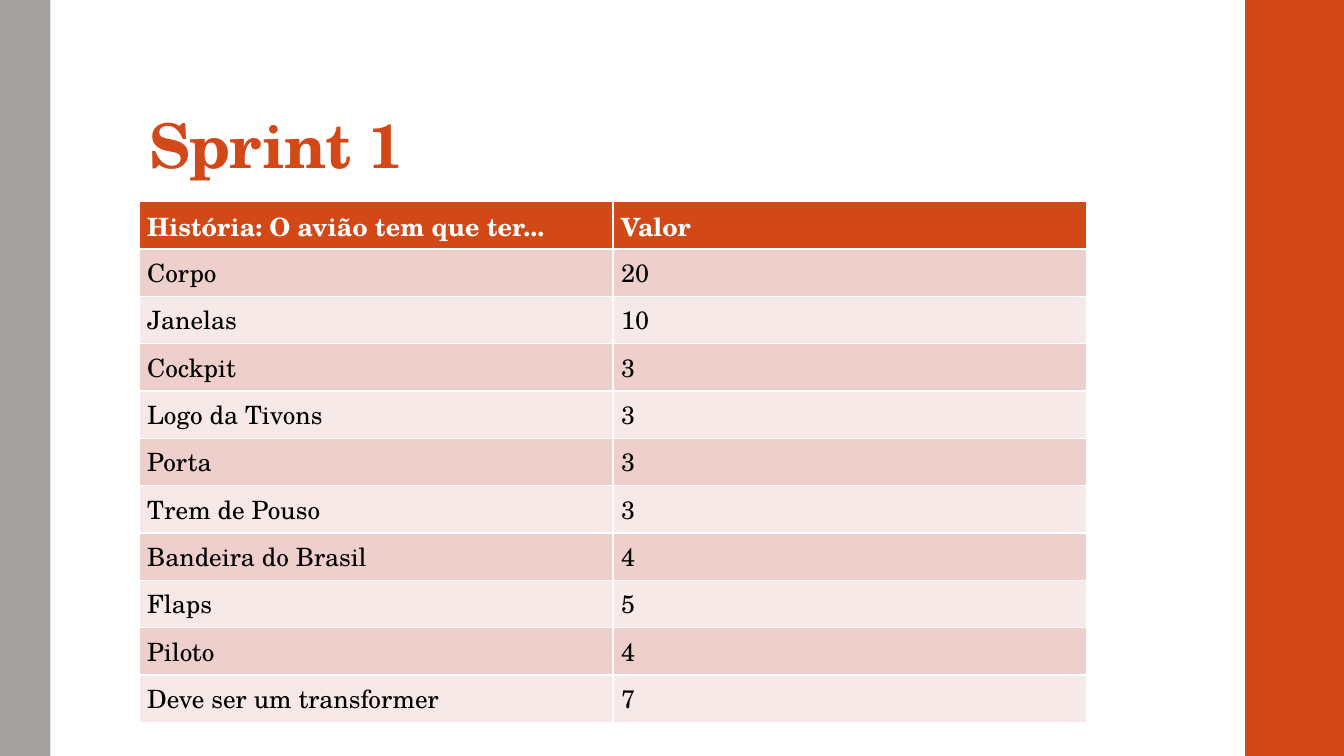
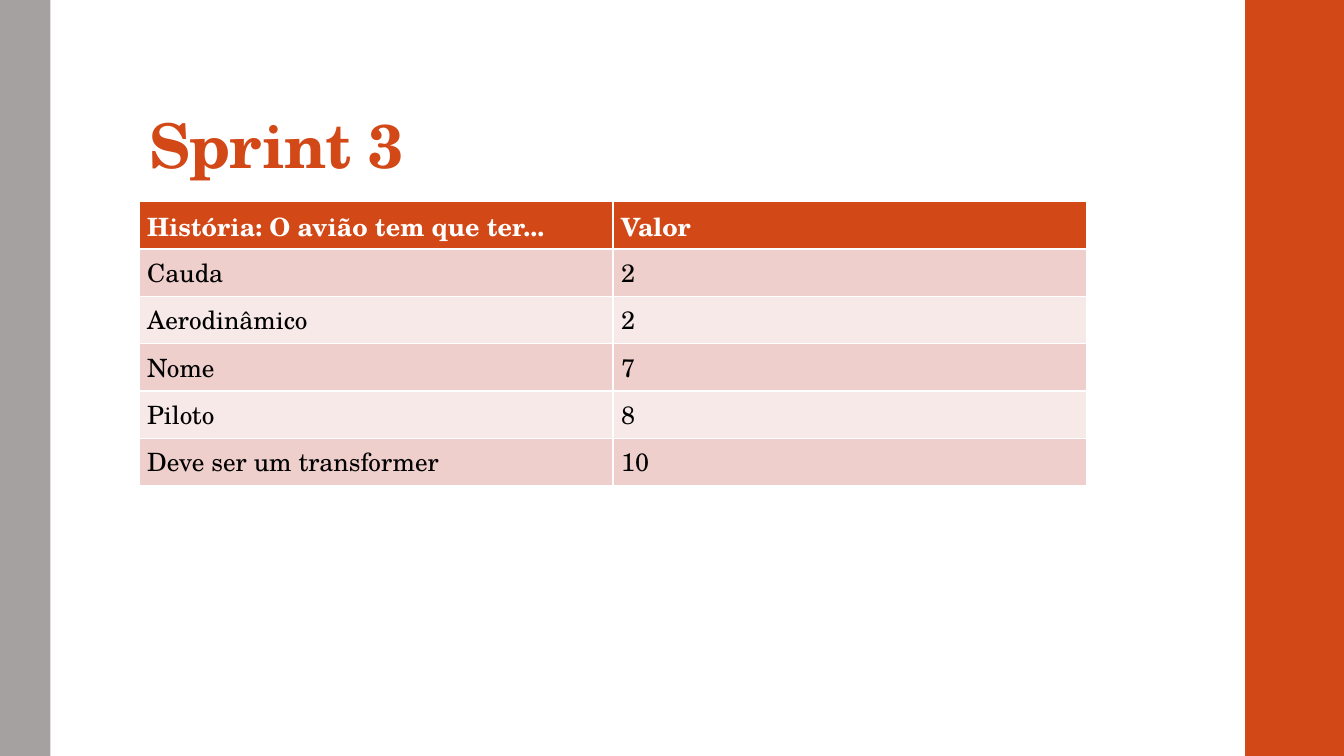
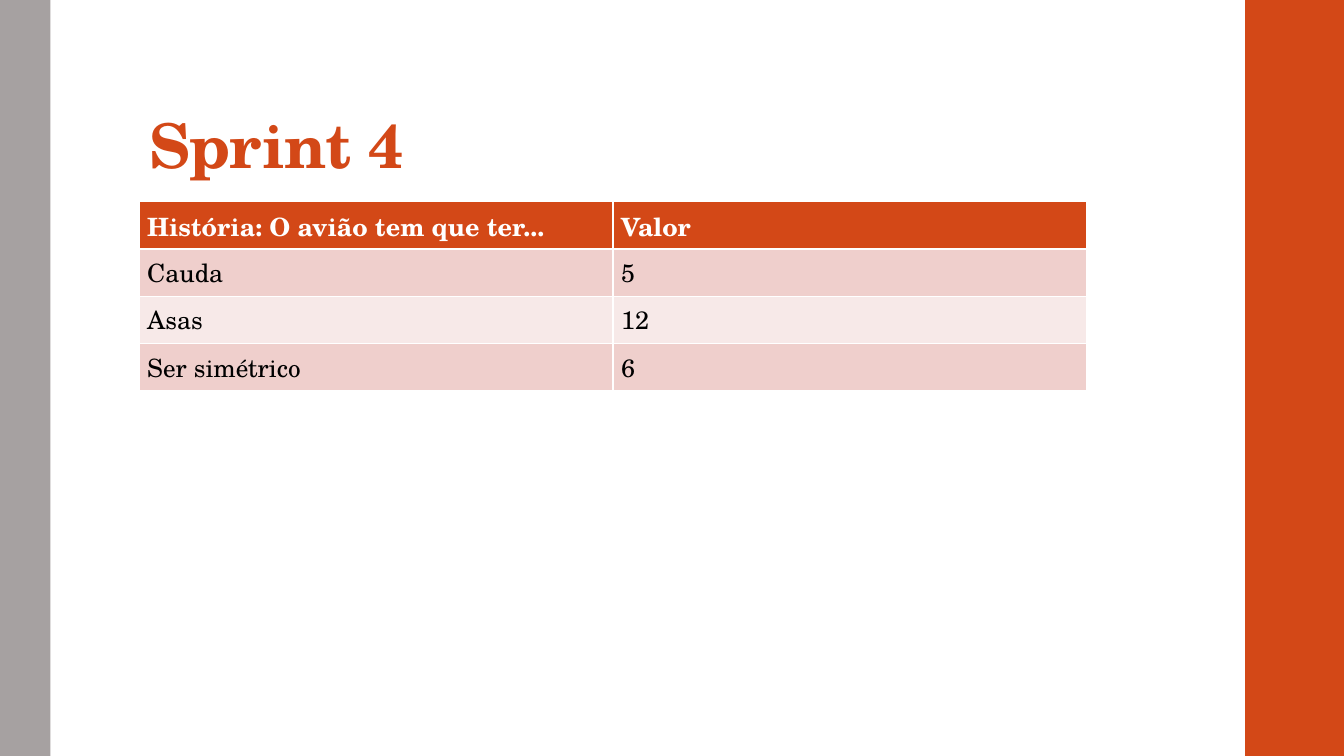
from pptx import Presentation
from pptx.dml.color import RGBColor
from pptx.enum.shapes import MSO_SHAPE as SHAPE
from pptx.enum.text import MSO_ANCHOR as ANCHOR
from pptx.util import Inches, Pt

FONT = "TeX Gyre Schola"
ORANGE, GRAY, WHITE, BLACK = "D34817", "A6A1A1", "FFFFFF", "000000"
STRIPES = ("EFCFCC", "F7E9E8")
SLIDE_W, SLIDE_H = 13.33, 7.5
LEFT_BAND = (0, 0, 0.5, SLIDE_H)
RIGHT_BAND = (12.35, 0, 0.98, SLIDE_H)
TITLE_BOX = (1.38, 0.32, 10.6, 1.53)
TABLE_BOX = (1.38, 2, 9.4)
ROW_H = 0.47
HEADER = ("História: O avião tem que ter...", "Valor")

SPRINTS = [
    ("Sprint 1", [
        ("Corpo", 20), ("Janelas", 10), ("Cockpit", 3), ("Logo da Tivons", 3),
        ("Porta", 3), ("Trem de Pouso", 3), ("Bandeira do Brasil", 4),
        ("Flaps", 5), ("Piloto", 4), ("Deve ser um transformer", 7)]),
    ("Sprint 3", [
        ("Cauda", 2), ("Aerodinâmico", 2), ("Nome", 7), ("Piloto", 8),
        ("Deve ser um transformer", 10)]),
    ("Sprint 4", [("Cauda", 5), ("Asas", 12), ("Ser simétrico", 6)]),
]


def rgb(color):
    """Turn a hex string into a colour."""
    return RGBColor.from_string(color)


def inches(*lengths):
    """Convert several lengths to Inches."""
    return [Inches(v) for v in lengths]


def write(tf, text, size=18, color=BLACK, bold=False, leading=None, spacing=None):
    """Write one formatted paragraph in a text frame."""
    p = tf.paragraphs[0]
    p.line_spacing = leading
    r = p.add_run()
    r.text = text
    r.font.name, r.font.size, r.font.bold = FONT, Pt(size), bold
    r.font.color.rgb = rgb(color)
    if spacing is not None:
        r.font._element.set("spc", str(round(spacing * 100)))


def set_margins(target, left, top, right, bottom):
    """Set the inner margins of a text frame or a cell."""
    target.margin_left, target.margin_top = inches(left, top)
    target.margin_right, target.margin_bottom = inches(right, bottom)


def add_band(slide, box, color):
    """Draw a plain vertical band."""
    sp = slide.shapes.add_shape(SHAPE.RECTANGLE, *inches(*box))
    sp.shadow.inherit = False
    sp.fill.solid()
    sp.fill.fore_color.rgb = rgb(color)
    sp.line.fill.background()


def add_title(slide, box, text):
    """Place the slide title at the bottom of its box."""
    tf = slide.shapes.add_textbox(*inches(*box)).text_frame
    tf.word_wrap = True
    tf.vertical_anchor = ANCHOR.BOTTOM
    set_margins(tf, 0.1, 0.03, 0.1, 0.05)
    write(tf, text, size=44, color=ORANGE, bold=True, leading=0.9, spacing=-0.5)


def add_story_table(slide, box, stories):
    """Fill a striped table of stories, with the white rules of its style."""
    left, top, width = box
    rows = [HEADER, *stories]
    frame = slide.shapes.add_table(
        len(rows), len(HEADER), *inches(left, top, width, ROW_H * len(rows)))
    table = frame.table
    for i, values in enumerate(rows):
        header = i == 0
        fill = ORANGE if header else STRIPES[(i - 1) % 2]
        for j, value in enumerate(values):
            cell = table.cell(i, j)
            set_margins(cell, 0.08, 0.05, 0.08, 0.05)
            cell.fill.solid()
            cell.fill.fore_color.rgb = rgb(fill)
            write(cell.text_frame, str(value),
                  color=WHITE if header else BLACK, bold=header)


def add_sprint_slide(prs, title, stories):
    """Build one sprint slide with its bands, title and table."""
    s = prs.slides.add_slide(prs.slide_layouts[6])
    add_band(s, RIGHT_BAND, ORANGE)
    add_band(s, LEFT_BAND, GRAY)
    add_title(s, TITLE_BOX, title)
    add_story_table(s, TABLE_BOX, stories)


def main():
    """Build and save the presentation."""
    prs = Presentation()
    prs.slide_width, prs.slide_height = inches(SLIDE_W, SLIDE_H)
    for title, stories in SPRINTS:
        add_sprint_slide(prs, title, stories)
    prs.save("out.pptx")


if __name__ == "__main__":
    main()
